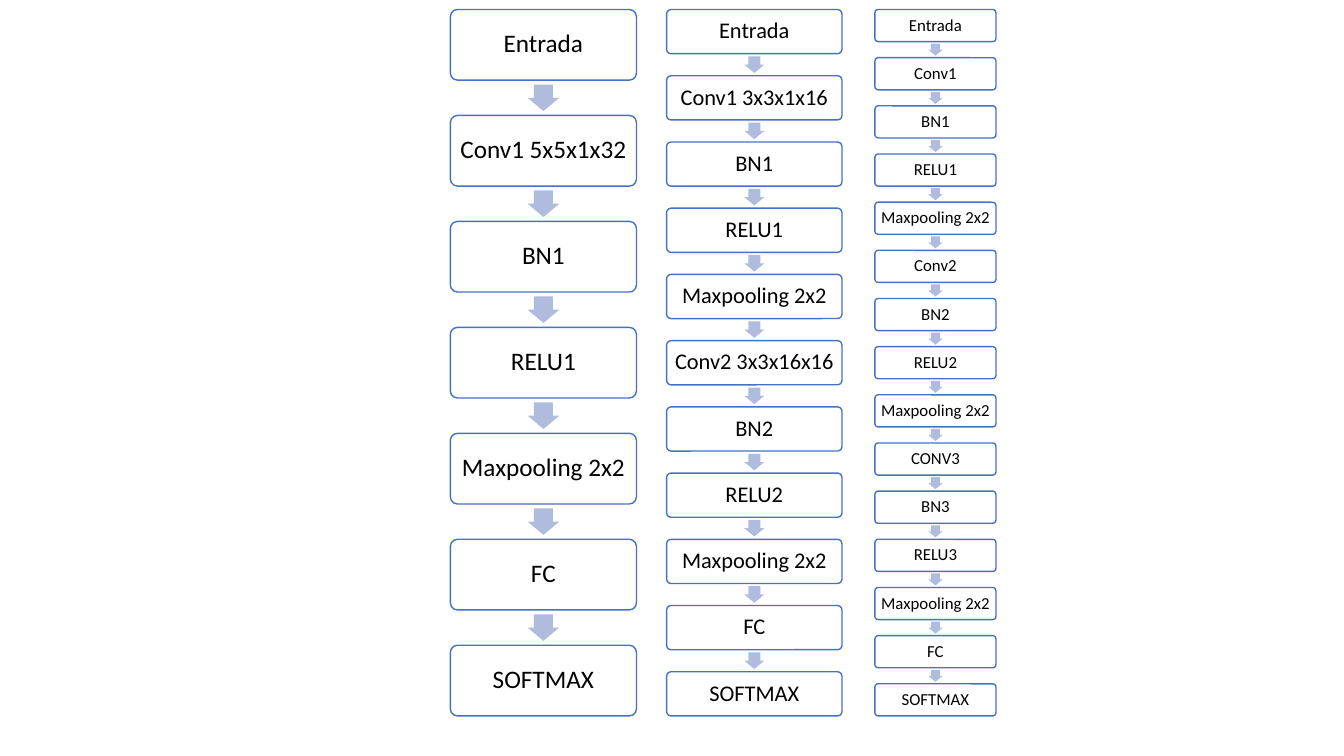
from dataclasses import dataclass

from pptx import Presentation
from pptx import util as u
from pptx.dml.color import RGBColor
from pptx.enum import shapes, text


@dataclass(frozen=True)
class Theme:
    font: str = "Calibri"
    ink: str = "000000"
    box_fill: str = "FFFFFF"
    box_line: str = "4472C4"
    arrow_fill: str = "B0BCDE"
    small: int = 12
    medium: int = 16
    large: int = 18


THEME = Theme()
TOP, HEIGHT = 0.24, 17.8  # shared vertical extent of all flows, in cm

# left and width in cm, text size, layers from input to output
NETWORKS = [
    (22.05, 3.05, THEME.small,
     ["Entrada", "Conv1", "BN1", "RELU1", "Maxpooling 2x2",
      "Conv2", "BN2", "RELU2", "Maxpooling 2x2",
      "CONV3", "BN3", "RELU3", "Maxpooling 2x2", "FC", "SOFTMAX"]),
    (16.8, 4.42, THEME.medium,
     ["Entrada", "Conv1 3x3x1x16", "BN1", "RELU1", "Maxpooling 2x2",
      "Conv2 3x3x16x16", "BN2", "RELU2", "Maxpooling 2x2", "FC", "SOFTMAX"]),
    (11.35, 4.69, THEME.large,
     ["Entrada", "Conv1 5x5x1x32", "BN1", "RELU1", "Maxpooling 2x2",
      "FC", "SOFTMAX"]),
]


def apply(target, formats):
    for name, value in formats.items():
        setattr(target, name, value)


class FlowPage:
    def __init__(self, page, theme):
        self.page = page
        self.theme = theme

    def shape(self, group, kind, bounds, fill, adjustments):
        item = group.shapes.add_shape(kind, *map(u.Cm, bounds))
        item.shadow.inherit = False
        item.fill.solid()
        item.fill.fore_color.rgb = RGBColor.from_string(fill)
        for index, value in enumerate(adjustments):
            item.adjustments[index] = value
        return item

    def layer(self, group, bounds, label, size):
        box = self.shape(group, shapes.MSO_SHAPE.ROUNDED_RECTANGLE, bounds,
                         self.theme.box_fill, [0.1])
        box.line.color.rgb = RGBColor.from_string(self.theme.box_line)
        box.line.width = u.Pt(1)
        inset = u.Cm(0.1)
        apply(box.text_frame, {
            "word_wrap": True, "vertical_anchor": text.MSO_ANCHOR.MIDDLE,
            "margin_left": inset, "margin_right": inset,
            "margin_top": inset, "margin_bottom": inset})
        para = box.text_frame.paragraphs[0]
        apply(para, {"alignment": text.PP_ALIGN.CENTER, "line_spacing": 0.9})
        span = para.add_run()
        span.text = label
        apply(span.font, {"name": self.theme.font, "size": u.Pt(size)})
        span.font.color.rgb = RGBColor.from_string(self.theme.ink)

    def arrow(self, group, center_x, center_y, length, breadth):
        bounds = (center_x - length / 2, center_y - breadth / 2, length, breadth)
        arrow = self.shape(group, shapes.MSO_SHAPE.RIGHT_ARROW, bounds,
                           self.theme.arrow_fill, [0.6, 0.5])
        arrow.rotation = 90
        arrow.line.fill.background()

    def flow(self, left, width, size, layers):
        """Stack the layers, with gaps half a box high that hold the arrows."""
        group = self.page.shapes.add_group_shape()
        box_height = HEIGHT / (1.5 * len(layers) - 0.5)
        gap = box_height / 2
        for index, label in enumerate(layers):
            top = TOP + index * (box_height + gap)
            if index:
                self.arrow(group, left + width / 2, top - gap / 2,
                           0.75 * gap, 0.45 * box_height)
            self.layer(group, (left, top, width, box_height), label, size)


def main():
    deck = Presentation()
    apply(deck, {"slide_width": u.Cm(33.87), "slide_height": u.Cm(19.05)})
    blank_layout = deck.slide_layouts[6]
    flow_page = FlowPage(deck.slides.add_slide(blank_layout), THEME)
    for network in NETWORKS:
        flow_page.flow(*network)
    deck.save("out.pptx")


if __name__ == "__main__":
    main()
